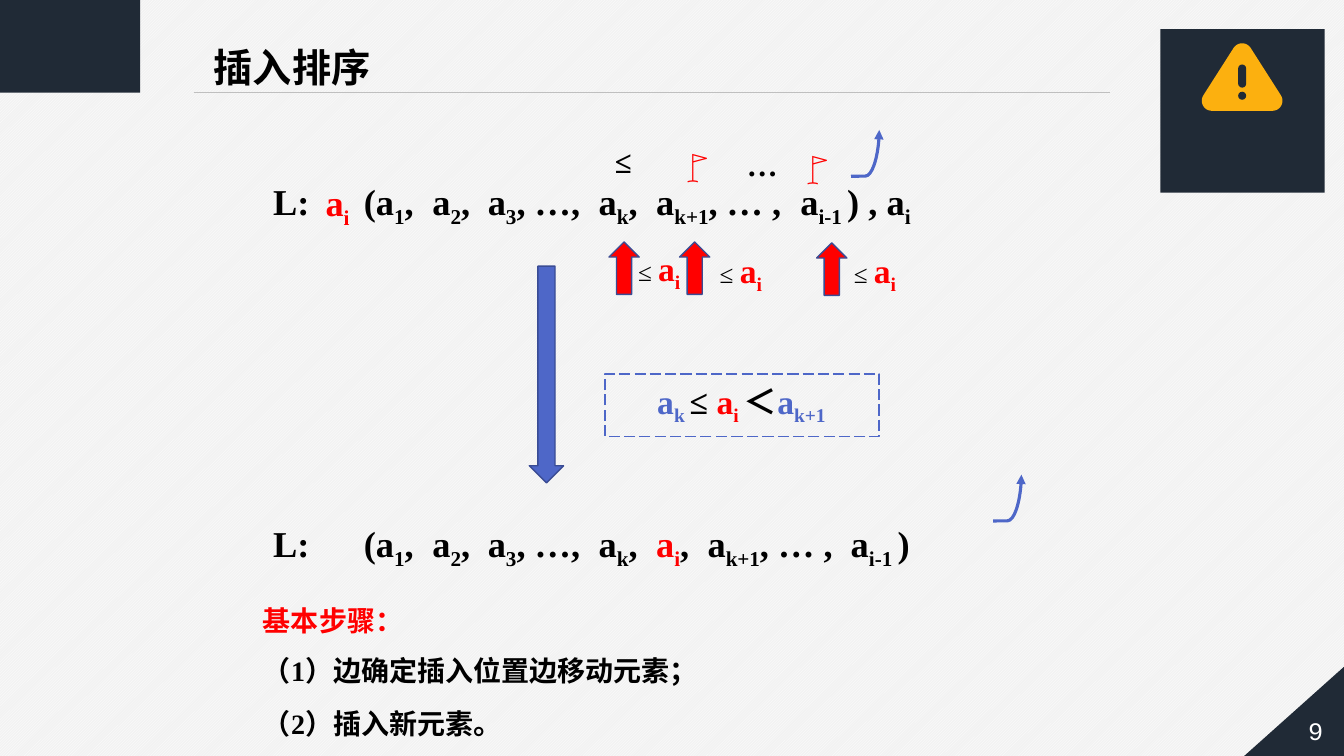
from math import cos, radians, sin

from lxml.etree import SubElement
from pptx import Presentation
from pptx.dml.color import RGBColor
from pptx.enum.dml import MSO_LINE, MSO_PATTERN
from pptx.enum.shapes import MSO_CONNECTOR, MSO_SHAPE
from pptx.enum.text import MSO_ANCHOR, MSO_AUTO_SIZE, PP_ALIGN
from pptx.oxml.ns import qn
from pptx.util import Inches, Pt

COLORS = {"navy": "202A36", "amber": "FCB00F", "red": "FF0000", "blue": "4E67C8",
          "edge": "3A4C94", "black": "000000", "white": "FFFFFF",
          "paper": "F2F2F2", "rule": "BFBFBF"}
FONT = "Times New Roman"


def rgb(name):
    """Return the named colour."""
    return RGBColor.from_string(COLORS[name])


def terms(text, **fmt):
    """Split text at underscores into alternating plain and subscript runs."""
    return [(part, {**fmt, "sub": i % 2 == 1})
            for i, part in enumerate(text.split("_")) if part]


def write(tf, paragraphs, size=26, color="black", bold=True, font=FONT, spacing=None,
          align=PP_ALIGN.LEFT, anchor=MSO_ANCHOR.TOP, wrap=True, tabs=()):
    """Fill a text frame with paragraphs made of (text, format) runs."""
    tf.word_wrap, tf.vertical_anchor, tf.auto_size = wrap, anchor, MSO_AUTO_SIZE.NONE
    for i, runs in enumerate(paragraphs):
        p = tf.add_paragraph() if i else tf.paragraphs[0]
        if tabs:
            stops = SubElement(p._p.get_or_add_pPr(), qn("a:tabLst"))
            for pos in tabs:
                SubElement(stops, qn("a:tab"), pos=str(Inches(pos)), algn="l")
        p.alignment = align
        if spacing:
            p.line_spacing = spacing
        for text, fmt in runs:
            r = p.add_run()
            r.text = text
            r.font.name = font
            r.font.size = Pt(fmt.get("size", size))
            r.font.bold = fmt.get("bold", bold)
            r.font.color.rgb = rgb(fmt.get("color", color))
            if fmt.get("sub"):
                r._r.get_or_add_rPr().set("baseline", "-25000")


def add_text(s, box, *paragraphs, **fmt):
    """Add a text box."""
    tb = s.shapes.add_textbox(*map(Inches, box))
    write(tb.text_frame, paragraphs, **fmt)


def paint(sp, fill=None, line=None, width=1):
    """Set the fill and outline of a shape and drop its shadow."""
    sp.shadow.inherit = False
    if fill:
        sp.fill.solid()
        sp.fill.fore_color.rgb = rgb(fill)
    else:
        sp.fill.background()
    if line:
        sp.line.color.rgb = rgb(line)
        sp.line.width = Pt(width)
    else:
        sp.line.fill.background()


def add_shape(s, kind, box, fill=None, line=None):
    """Add a preset shape."""
    sp = s.shapes.add_shape(kind, *map(Inches, box))
    paint(sp, fill, line)
    return sp


def add_line(s, kind, start, end, color, width):
    """Add a connector without a shadow."""
    c = s.shapes.add_connector(kind, *map(Inches, start + end))
    c.line.color.rgb = rgb(color)
    c.line.width = Pt(width)
    SubElement(c._element.spPr, qn("a:effectLst"))
    return c


def add_curved_arrow(s, x, y):
    """Draw an arrow that leaves (x, y) rightwards and curls up."""
    w, h = 0.46, 0.28
    cx, cy = x + h / 2, y - w / 2
    c = add_line(s, MSO_CONNECTOR.CURVE, (cx + w / 2, cy + h / 2),
                 (cx - w / 2, cy - h / 2), "blue", 2.25)
    spPr = c._element.spPr
    spPr.find(qn("a:xfrm")).set("rot", "5400000")
    guides = spPr.find(qn("a:prstGeom")).find(qn("a:avLst"))
    SubElement(guides, qn("a:gd"), name="adj1", fmla="val 400")
    SubElement(spPr.find(qn("a:ln")), qn("a:tailEnd"), type="triangle")


def add_frame(s, number):
    """Draw the background, corner blocks, title rule and page number."""
    fill = s.background.fill
    fill.patterned()
    fill.pattern = MSO_PATTERN.LIGHT_UPWARD_DIAGONAL
    fill.fore_color.rgb, fill.back_color.rgb = rgb("white"), rgb("paper")
    add_shape(s, MSO_SHAPE.RECTANGLE, (0, 0, 1.39, 0.92), "navy")
    add_line(s, MSO_CONNECTOR.STRAIGHT, (1.92, 0.92), (11.01, 0.92), "rule", 0.5)
    corner = add_shape(s, MSO_SHAPE.RIGHT_TRIANGLE, (12.33, 6.58, 1.04, 0.93), "navy")
    corner._element.spPr.find(qn("a:xfrm")).set("flipH", "1")
    add_text(s, (12.77, 6.97, 0.56, 0.55), [(number, {})], size=18, color="white",
             bold=False, font="Courier New", align=PP_ALIGN.CENTER,
             anchor=MSO_ANCHOR.MIDDLE)


def add_title(s, text):
    """Place and format the title."""
    title = s.shapes.title
    title.left, title.top, title.width, title.height = map(Inches, (2.02, 0.29, 1.82, 0.62))
    write(title.text_frame, [[(text, {})]], size=28, spacing=1.2, wrap=False)


def add_warning(s, x, y):
    """Draw the warning sign on its dark panel."""
    add_shape(s, MSO_SHAPE.RECTANGLE, (x, y, 1.63, 1.62), "navy")
    cx, radius = x + 0.81, 0.1
    corners = [(cx, y + 0.24, -147, -33), (cx + 0.3, y + 0.71, -33, 90),
               (cx - 0.3, y + 0.71, 90, 213)]
    outline = [(Inches(px + radius * cos(radians(a + (b - a) * k / 12))),
                Inches(py + radius * sin(radians(a + (b - a) * k / 12))))
               for px, py, a, b in corners for k in range(13)]
    fb = s.shapes.build_freeform(*outline[0])
    fb.add_line_segments(outline[1:], close=True)
    paint(fb.convert_to_shape(), "amber")
    bar = add_shape(s, MSO_SHAPE.ROUNDED_RECTANGLE, (cx - 0.04, y + 0.35, 0.08, 0.23), "navy")
    bar.adjustments[0] = 0.5
    add_shape(s, MSO_SHAPE.OVAL, (cx - 0.04, y + 0.62, 0.08, 0.08), "navy")


def add_list(s, y, runs, tabs):
    """Write one state of the list L."""
    add_text(s, (2.61, y, 8.36, 0.77), runs, spacing=1.5, tabs=tabs)


def add_comparisons(s):
    """Draw the marks above the list and the comparisons below it."""
    for mark, x, y, color in [("≤", 6, 1.37, "black"), ("🚩", 6.71, 1.41, "red"),
                              ("…", 7.31, 1.4, "black"), ("🚩", 7.9, 1.43, "red")]:
        add_text(s, (x, y, 0.89, 0.47), [(mark, {})], size=22, color=color)
    for arrow_x, arrow_y, x, y in [(6.04, 2.4, 6.23, 2.41), (6.74, 2.4, 7.04, 2.43),
                                   (8.1, 2.41, 8.37, 2.43)]:
        add_shape(s, MSO_SHAPE.UP_ARROW, (arrow_x, arrow_y, 0.3, 0.52), "red", "edge")
        add_text(s, (x, y, 0.77, 0.81),
                 [("≤ ", {"size": 18, "color": "black", "bold": False})] + terms("a_i"),
                 size=24, color="red")


def add_condition(s, x, y):
    """Draw the dashed box with the insertion condition."""
    box = add_shape(s, MSO_SHAPE.RECTANGLE, (x, y, 2.72, 0.62), line="blue")
    box.line.dash_style = MSO_LINE.LONG_DASH
    add_text(s, (x + 0.42, y + 0.02, 2.22, 0.5),
             terms("a_k ", color="blue") + terms("≤ ") + terms("a_i ", color="red")
             + terms("＜") + terms("a_k+1", color="blue"), size=24)


def add_steps(s, box):
    """Write the basic steps."""
    add_text(s, box, [("基本步骤：", {"color": "red"})],
             [("（1）边确定插入位置边移动元素；", {})],
             [("（2）插入新元素", {}), ("。", {"size": 21})], size=20, spacing=1.5)


def main():
    """Build the insertion sort slide."""
    prs = Presentation()
    prs.slide_width, prs.slide_height = Inches(13.33), Inches(7.5)
    s = prs.slides.add_slide(prs.slide_layouts[5])
    add_frame(s, "9")
    add_title(s, "插入排序")
    add_warning(s, 11.51, 0.29)
    start = "L:\t(a_1_,\ta_2_,\ta_3_, …,\ta_k_,\t"
    end = "a_k+1_, … ,\ta_i-1 _)"
    stops = [0.9, 1.58, 2.13, 3.23, 3.8]
    add_list(s, 1.48, terms(start) + terms(end + " , a_i"), stops + [5.23])
    add_text(s, (3.13, 1.49, 0.49, 0.76), terms("a_i"), color="red", spacing=1.5)
    add_comparisons(s)
    add_curved_arrow(s, 8.44, 1.75)
    add_shape(s, MSO_SHAPE.DOWN_ARROW, (5.25, 2.64, 0.34, 2.15), "blue", "edge")
    add_condition(s, 6, 3.71)
    add_list(s, 4.87, terms(start) + terms("a_i", color="red") + terms(",\t" + end),
             stops + [4.31, 5.73])
    add_curved_arrow(s, 9.85, 5.17)
    add_steps(s, (2.51, 5.77, 8.2, 1.58))
    prs.save("out.pptx")


if __name__ == "__main__":
    main()
